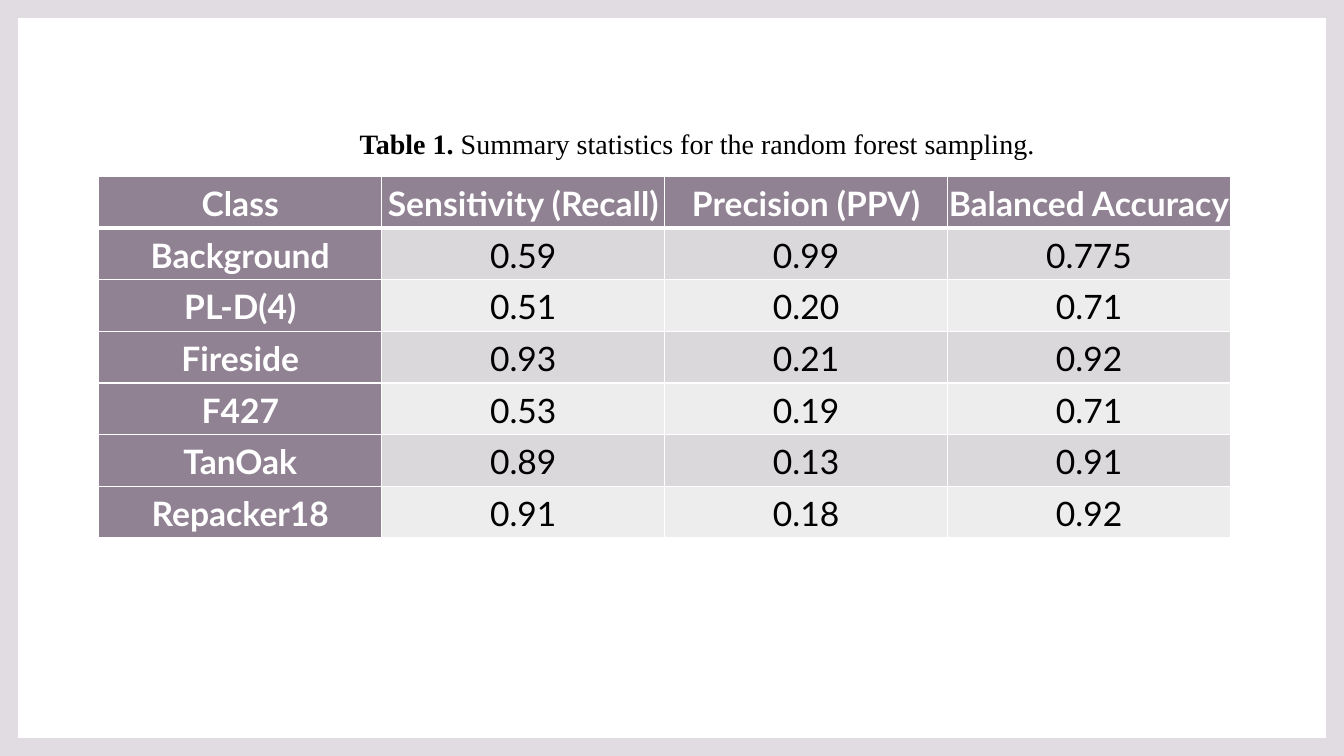
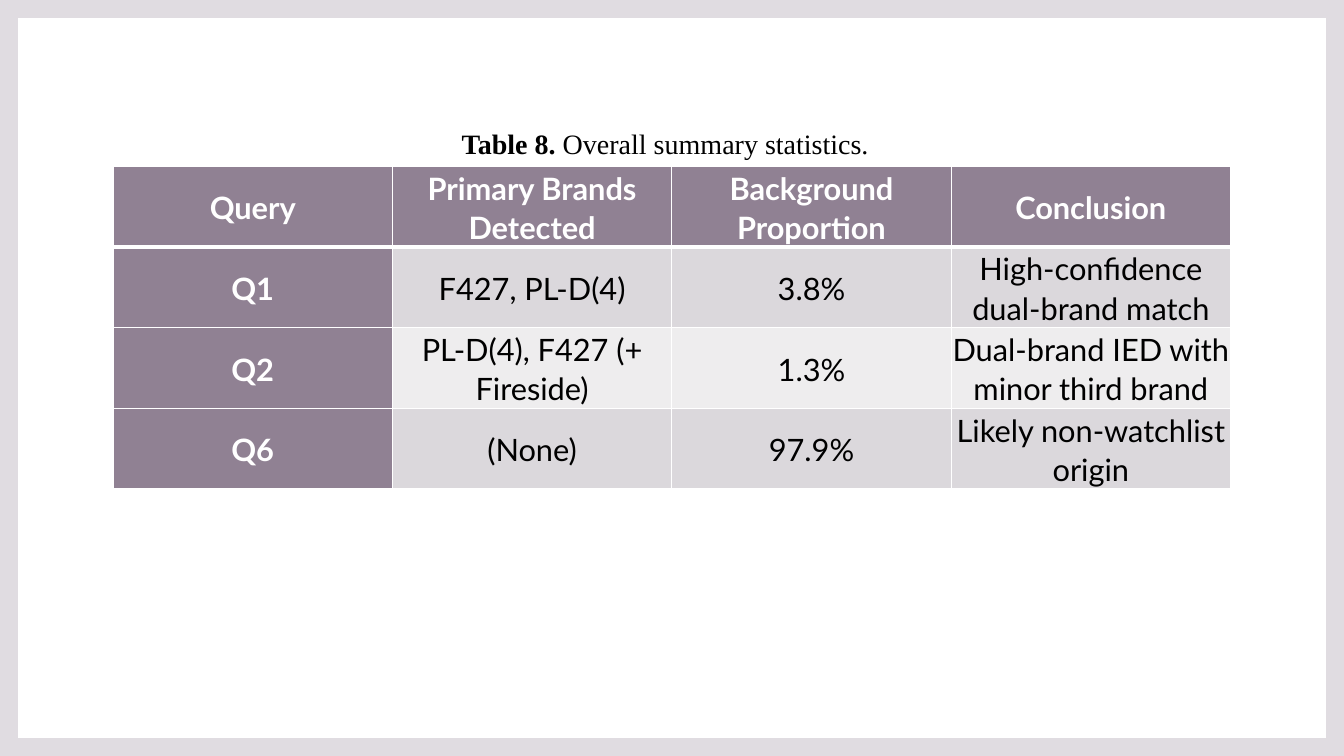
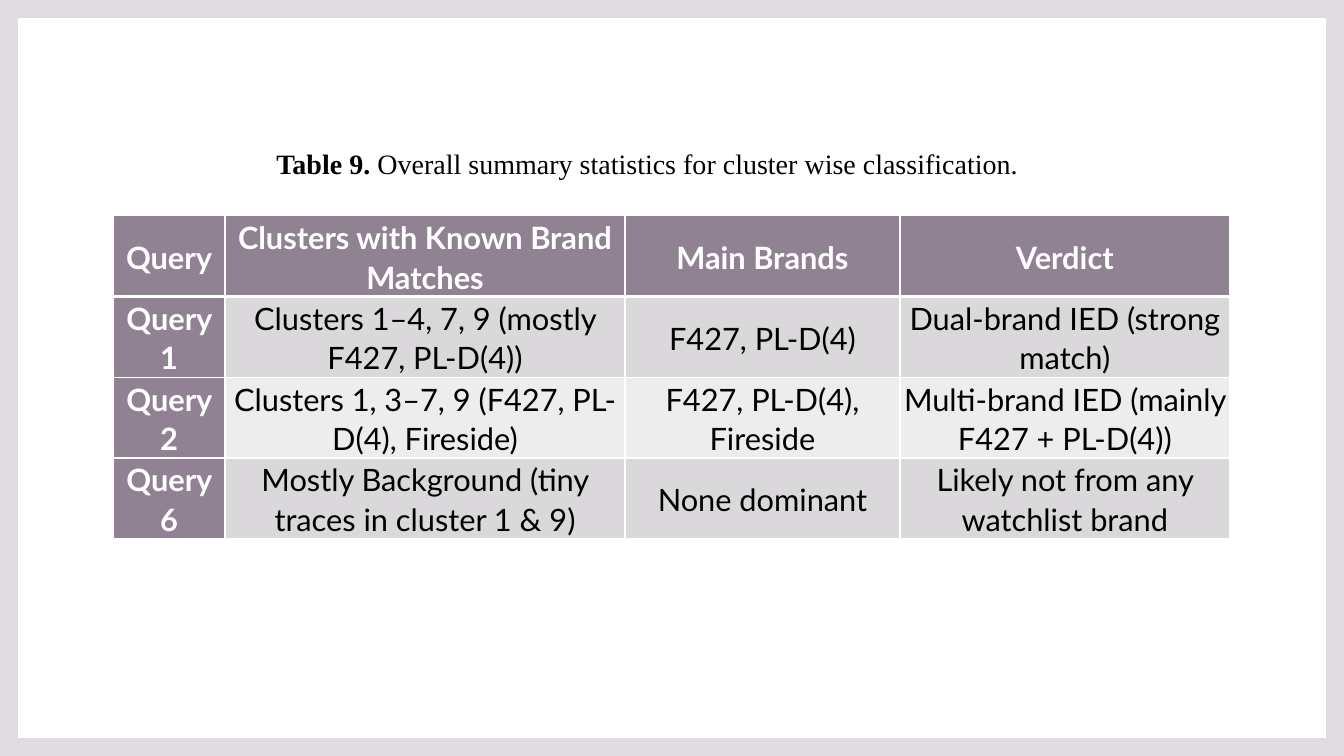
from lxml import etree
from pptx import Presentation
from pptx.dml.color import RGBColor
from pptx.enum import shapes, text
from pptx.oxml import ns
from pptx.util import Cm, Pt

SLIDE_WIDTH, SLIDE_HEIGHT = Cm(33.87), Cm(19.05)
FRAME_WIDTH = Cm(0.45)
CELL_MARGIN = Cm(0.02)
CAPTION_HEIGHT = Cm(1.12)

LILAC = RGBColor(0xE0, 0xDC, 0xE1)
MAUVE = RGBColor(0x90, 0x81, 0x93)
DARK_BAND = RGBColor(0xDB, 0xD8, 0xDC)
LIGHT_BAND = RGBColor(0xEE, 0xED, 0xEE)
WHITE = RGBColor(0xFF, 0xFF, 0xFF)
BLACK = RGBColor(0, 0, 0)

TABLE_FONT = "Lato"
CAPTION_FONT = "Times New Roman"
TITLE_ONLY = 5

SAMPLING_ROWS = [
    ["Class", "Sensitivity (Recall)", "Precision (PPV)", "Balanced Accuracy"],
    ["Background", "0.59", "0.99", "0.775"],
    ["PL-D(4)", "0.51", "0.20", "0.71"],
    ["Fireside", "0.93", "0.21", "0.92"],
    ["F427", "0.53", "0.19", "0.71"],
    ["TanOak", "0.89", "0.13", "0.91"],
    ["Repacker18", "0.91", "0.18", "0.92"],
]
OVERALL_ROWS = [
    ["Query", "Primary Brands Detected", "Background Proportion", "Conclusion"],
    ["Q1", "F427, PL-D(4)", "3.8%", "High-confidence dual-brand match"],
    ["Q2", "PL-D(4), F427 (+ Fireside)", "1.3%",
     "Dual-brand IED with minor third brand"],
    ["Q6", "(None)", "97.9%", "Likely non-watchlist origin"],
]
CLUSTER_ROWS = [
    ["Query", "Clusters with Known Brand Matches", "Main Brands", "Verdict"],
    ["Query 1", "Clusters 1–4, 7, 9 (mostly F427, PL-D(4))", "F427, PL-D(4)",
     "Dual-brand IED (strong match)"],
    ["Query 2", "Clusters 1, 3–7, 9 (F427, PL-D(4), Fireside)",
     "F427, PL-D(4), Fireside", "Multi-brand IED (mainly F427 + PL-D(4))"],
    ["Query 6", "Mostly Background (tiny traces in cluster 1 & 9)",
     "None dominant", "Likely not from any watchlist brand"],
]


def write(paragraph, words, font=TABLE_FONT, size=22, color=BLACK, bold=False):
    run = paragraph.add_run()
    run.text = words
    run.font.name = font
    run.font.size = Pt(size)
    run.font.color.rgb = color
    run.font.bold = bold


def add_master_frame(prs, slide):
    """Draw the lilac border on a slide, then move it to the master."""
    frame = slide.shapes.add_shape(
        shapes.MSO_SHAPE.FRAME, 0, 0, SLIDE_WIDTH, SLIDE_HEIGHT)
    frame.adjustments[0] = FRAME_WIDTH / SLIDE_HEIGHT
    frame.shadow.inherit = False
    frame.fill.solid()
    frame.fill.fore_color.rgb = LILAC
    frame.line.fill.background()
    frame.element.nvSpPr.cNvPr.set("id", "100")
    prs.slide_master.shapes.element.insert(2, frame.element)


def add_caption(slide, label, words, left, top, width):
    caption = slide.shapes.title
    caption.left, caption.top = Cm(left), Cm(top)
    caption.width, caption.height = Cm(width), CAPTION_HEIGHT
    caption.text_frame.word_wrap = True
    caption.text_frame.auto_size = text.MSO_AUTO_SIZE.NONE
    caption.text_frame.vertical_anchor = text.MSO_ANCHOR.TOP
    paragraph = caption.text_frame.paragraphs[0]
    paragraph.alignment = text.PP_ALIGN.LEFT
    write(paragraph, label + " ", font=CAPTION_FONT, size=20, bold=True)
    write(paragraph, words, font=CAPTION_FONT, size=20)


def add_border(cell, side, points):
    line = etree.SubElement(cell._tc.get_or_add_tcPr(), ns.qn(f"a:ln{side}"),
                            w=str(Pt(points)))
    fill = etree.SubElement(line, ns.qn("a:solidFill"))
    etree.SubElement(fill, ns.qn("a:srgbClr"), val=str(WHITE))


def format_cell(cell, words, row, column, size):
    heading = row == 0 or column == 0
    borders = {"L": 1, "R": 1, "T": 3 if row == 1 else 1, "B": 3 if row == 0 else 1}
    for side, points in borders.items():
        add_border(cell, side, points)
    cell.fill.solid()
    band = DARK_BAND if row % 2 else LIGHT_BAND
    cell.fill.fore_color.rgb = MAUVE if heading else band
    cell.margin_left = cell.margin_right = CELL_MARGIN
    cell.margin_top = cell.margin_bottom = CELL_MARGIN
    cell.vertical_anchor = text.MSO_ANCHOR.MIDDLE
    paragraph = cell.text_frame.paragraphs[0]
    paragraph.alignment = text.PP_ALIGN.CENTER
    paragraph.line_spacing = 1.07
    paragraph.space_after = Pt(8)
    write(paragraph, words, size=size, bold=heading,
          color=WHITE if heading else BLACK)


def add_summary_table(slide, rows, left, top, widths, row_height, size=22):
    table = slide.shapes.add_table(
        len(rows), len(widths), Cm(left), Cm(top),
        Cm(sum(widths)), Cm(row_height * len(rows))).table
    for column, width in zip(table.columns, widths):
        column.width = Cm(width)
    for r, row in enumerate(rows):
        for c, words in enumerate(row):
            format_cell(table.cell(r, c), words, r, c, size)


def main():
    prs = Presentation()
    prs.slide_width, prs.slide_height = SLIDE_WIDTH, SLIDE_HEIGHT
    sampling, overall, clusters = [
        prs.slides.add_slide(prs.slide_layouts[TITLE_ONLY]) for _ in range(3)]
    add_master_frame(prs, sampling)

    add_summary_table(sampling, SAMPLING_ROWS, 2.49, 4.45, [7.13] * 4, 1.3, size=24)
    add_caption(sampling, "Table 1.",
                "Summary statistics for the random forest sampling.",
                8.81, 3.05, 17.58)

    add_summary_table(overall, OVERALL_ROWS, 2.85, 4.19, [7.04] * 4, 2.03)
    add_caption(overall, "Table 8.", "Overall summary statistics.",
                11.38, 3.07, 11.13)

    add_summary_table(clusters, CLUSTER_ROWS, 2.85, 5.44,
                      [2.82, 10.08, 6.93, 8.31], 2.03)
    add_caption(clusters, "Table 9.",
                "Overall summary statistics for cluster wise classification.",
                6.71, 3.56, 20.42)
    prs.save("out.pptx")


if __name__ == "__main__":
    main()
